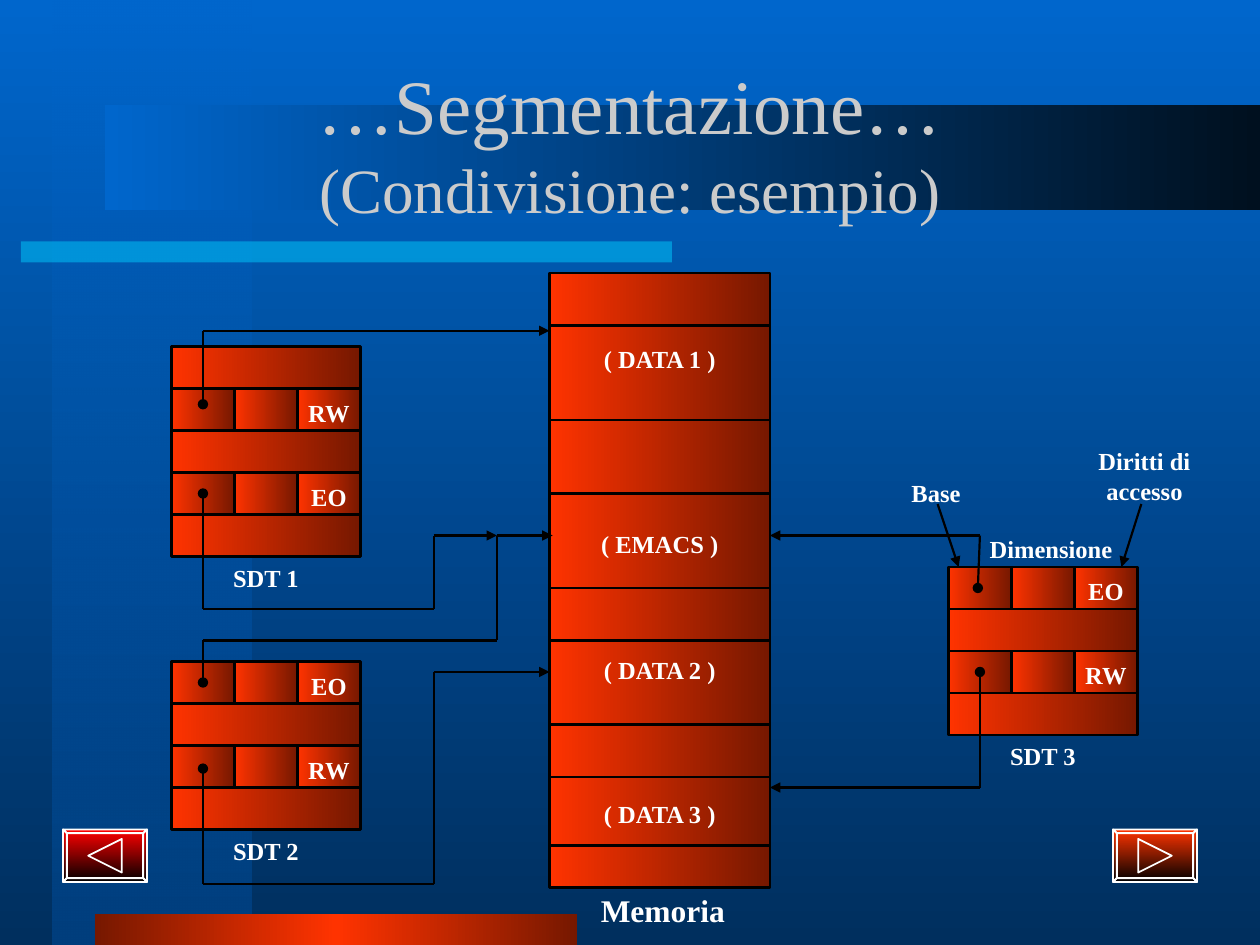
from itertools import accumulate, pairwise

from lxml import etree
from pptx import Presentation, util as u
from pptx.dml.color import RGBColor
from pptx.enum import shapes as kinds, text as styles
from pptx.oxml.ns import qn

FONT = "Times New Roman"
EMBER, RUST, BLACK, WHITE = "FF3300", "761800", "000000", "FFFFFF"
ROW_HEIGHT, CELL_WIDTH = 4, 6


def grid(n):
    """Length of n grid steps; the slide is 120 columns by 90 rows."""
    return u.Emu(round(n * u.Inches(1) / 12))


def colour(value):
    return RGBColor.from_string(value)


def set_all(target, values):
    for name, value in values.items():
        setattr(target, name, value)


def gradient(fill, element, stops, angle=0):
    """Fill with (percent, colour, opacity percent) stops, angle clockwise."""
    fill.gradient()
    fill.gradient_angle = -angle % 360
    stop_list = next(element.iter(qn("a:gsLst")))
    for old in list(stop_list):
        stop_list.remove(old)
    for position, value, opacity in stops:
        stop = etree.SubElement(stop_list, qn("a:gs"), pos=str(position * 1000))
        tint = etree.SubElement(stop, qn("a:srgbClr"), val=value)
        if opacity < 100:
            etree.SubElement(tint, qn("a:alpha"), val=str(opacity * 1000))


def outline(shape, value, width):
    shape.line.color.rgb = colour(value)
    shape.line.width = u.Pt(width)


def block(page, box, stops, angle=0):
    shape = page.shapes.add_shape(kinds.MSO_SHAPE.RECTANGLE, *map(grid, box))
    shape.shadow.inherit = False
    shape.line.fill.background()
    gradient(shape.fill, shape._element, stops, angle)
    return shape


def write(shape, lines, sizes, value=WHITE, bold=True, spacing=1.0, lift=0):
    """Centre lines in a shape; lift is extra bottom inset in inches."""
    frame = shape.text_frame
    inset = u.Inches(0.05)
    set_all(frame, dict(word_wrap=False, vertical_anchor=styles.MSO_ANCHOR.MIDDLE,
                        margin_left=inset, margin_right=inset, margin_top=inset,
                        margin_bottom=inset + u.Inches(lift)))
    for index, (line, size) in enumerate(zip(lines, sizes)):
        para = frame.add_paragraph() if index else frame.paragraphs[0]
        set_all(para, dict(alignment=styles.PP_ALIGN.CENTER, line_spacing=spacing,
                           space_before=u.Pt(0)))
        span = para.add_run()
        span.text = line
        set_all(span.font, dict(name=FONT, size=u.Pt(size), bold=bold))
        span.font.color.rgb = colour(value)


def label(page, box, *lines, size=14):
    write(page.shapes.add_textbox(*map(grid, box)), lines, [size] * len(lines))


def cell(page, box, caption="", lift=0):
    shape = block(page, box, [(0, EMBER, 100), (100, RUST, 100)])
    outline(shape, BLACK, 1.5)
    if caption:
        write(shape, [caption], [14], spacing=1.2, lift=lift)


def backdrop(page):
    gradient(page.background.fill, page._element,
             [(0, "0066CC", 100), (100, "002F5E", 100)], 90)
    block(page, (5, 0, 19, 90), [(0, "0066CC", 50), (100, "003F7E", 100)], 90)
    block(page, (2, 23, 62, 2), [(0, "00CCFF", 50), (100, "00CCFF", 50)])
    block(page, (9, 87, 46, 3),
          [(0, RUST, 100), (50, EMBER, 100), (100, RUST, 100)])
    block(page, (10, 10, 110, 10), [(0, "0066CC", 100), (100, "00101F", 100)])


def heading(page, box):
    title = page.shapes.title
    page.shapes._spTree.append(title._element)
    set_all(title, dict(zip(("left", "top", "width", "height"), map(grid, box))))
    write(title, ["…Segmentazione…", "(Condivisione: esempio)"], [44, 36],
          "CBCBCB", bold=False)


def outlined_polygons(page, polygons):
    """One freeform of closed polygons with a white outline."""
    points = [[(grid(x), grid(y)) for x, y in polygon] for polygon in polygons]
    builder = page.shapes.build_freeform(*points[0][0], scale=1.0)
    for polygon in points:
        builder.move_to(*polygon[0])
        builder.add_line_segments(polygon[1:], close=True)
    shape = builder.convert_to_shape()
    shape.shadow.inherit = False
    outline(shape, WHITE, 1)
    return shape


def nav_button(page, box, value, direction):
    """Bevelled button with an arrow: direction is -1 for back, 1 for forward."""
    x, y, w, h = box
    rim, reach = 0.35, 1.6
    outer = [(x, y), (x + w, y), (x + w, y + h), (x, y + h)]
    inner = [(x + rim, y + rim), (x + w - rim, y + rim),
             (x + w - rim, y + h - rim), (x + rim, y + h - rim)]
    sides = [[outer[i], outer[j], inner[j], inner[i]]
             for i, j in pairwise([0, 1, 2, 3, 0])]
    frame = outlined_polygons(page, [inner, *sides])
    gradient(frame.fill, frame._element, [(0, value, 100), (100, BLACK, 100)], 90)
    cx, cy = x + w / 2, y + h / 2
    base, tip = cx - reach * direction, cx + reach * direction
    arrow = outlined_polygons(
        page, [[(base, cy - reach), (tip, cy), (base, cy + reach)]])
    arrow.fill.background()


def memory(page, left, top, width):
    segments = [(5, "", 0), (9, "( DATA 1 )", 0.27), (7, "", 0),
                (9, "( EMACS )", 0), (5, "", 0), (8, "( DATA 2 )", 0.25),
                (5, "", 0), (6.5, "( DATA 3 )", 0), (4, "", 0)]
    edges = list(accumulate((rows for rows, _, _ in segments), initial=top))
    for edge, (rows, caption, lift) in zip(edges, segments):
        cell(page, (left, edge, width, rows), caption, lift)
    label(page, (left, edges[-1] - 0.2, width + 0.6, 4.8), "Memoria", size=18)


def descriptor_table(page, left, top, name, rights):
    """One row per entry of rights; an empty entry is an undivided row."""
    width = 3 * CELL_WIDTH
    for row, right in enumerate(rights):
        y = top + row * ROW_HEIGHT
        if right:
            for column, caption in enumerate(("", "", right)):
                cell(page, (left + column * CELL_WIDTH, y, CELL_WIDTH, ROW_HEIGHT),
                     caption)
        else:
            cell(page, (left, y, width, ROW_HEIGHT))
    label(page, (left, top + len(rights) * ROW_HEIGHT, width, ROW_HEIGHT), name)


def wire(page, points, dot=True):
    """Straight segments with a dot at the start and an arrow at the end."""
    last = len(points) - 2
    for index, (start, end) in enumerate(pairwise(points)):
        line = page.shapes.add_connector(kinds.MSO_CONNECTOR.STRAIGHT,
                                         *map(grid, start + end))
        outline(line, BLACK, 1.25)
        stroke = line.line._get_or_add_ln()
        if dot and index == 0:
            etree.SubElement(stroke, qn("a:headEnd"), type="oval")
        if index == last:
            etree.SubElement(stroke, qn("a:tailEnd"), type="triangle")
        etree.SubElement(line._element.spPr, qn("a:effectLst"))


def references(page, pointer, turn, join, memory_left, memory_right, far_pointer):
    wire(page, [(pointer, 38.5), (pointer, 31.5), (memory_left, 31.5)])
    wire(page, [(pointer, 47), (pointer, 58), (turn, 58), (turn, 51), (join, 51)])
    wire(page, [(pointer, 65), (pointer, 61), (join, 61), (join, 51),
                (memory_left + 0.3, 51)])
    wire(page, [(pointer, 73.2), (pointer, 84.2), (turn, 84.2), (turn, 64),
                (memory_left, 64)])
    wire(page, [(far_pointer - 0.2, 56), (far_pointer, 51), (memory_right, 51)])
    wire(page, [(far_pointer, 64), (far_pointer, 75), (memory_right, 75)])


def field_names(page):
    label(page, (91.1, 50.3, 18, 4), "Dimensione")
    label(page, (84, 44.7, 10.3, 4.4), "Base")
    label(page, (104, 43.3, 10, 4), "Diritti di", "accesso")
    wire(page, [(108.7, 48), (106.8, 54)], dot=False)
    wire(page, [(89.3, 48), (91.3, 54)], dot=False)


def main():
    deck = Presentation()
    set_all(deck, dict(slide_width=grid(120), slide_height=grid(90)))
    page = deck.slides.add_slide(deck.slide_layouts[5])
    backdrop(page)
    nav_button(page, (6, 79, 8, 5), "FF0000", -1)
    nav_button(page, (106, 79, 8, 5), EMBER, 1)
    heading(page, (9, 6, 102, 15))
    memory(page, 52.33, 26, 21)
    descriptor_table(page, 16.33, 33, "SDT 1", ["", "RW", "", "EO", ""])
    descriptor_table(page, 16.33, 63, "SDT 2", ["EO", "", "RW", ""])
    descriptor_table(page, 90.33, 54, "SDT 3", ["EO", "", "RW", ""])
    references(page, 19.33, 41.33, 47.33, 52.33, 73.33, 93.33)
    field_names(page)
    deck.save("out.pptx")


if __name__ == "__main__":
    main()
